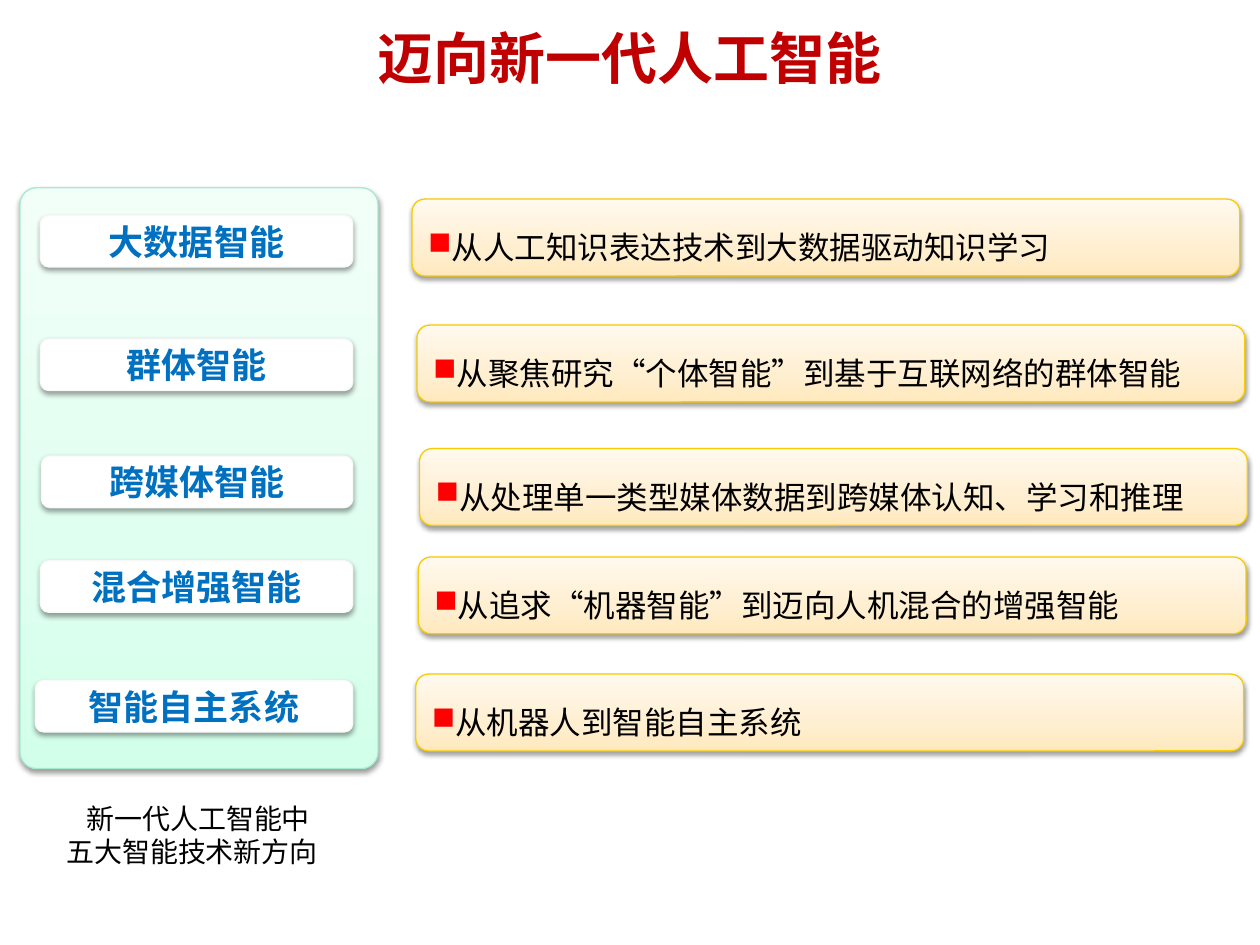
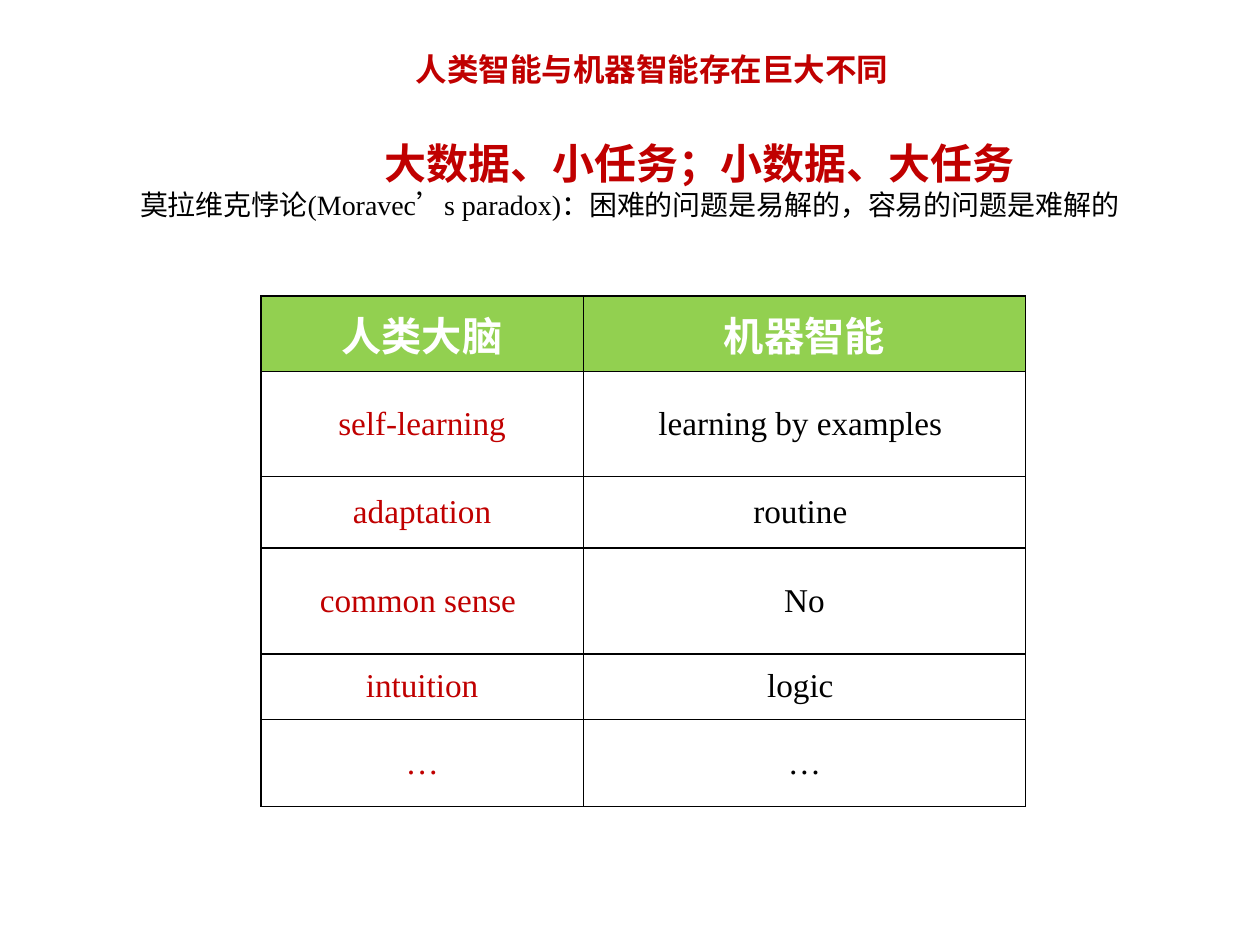
from copy import deepcopy

from lxml.etree import SubElement
from pptx import Presentation
from pptx.dml.color import RGBColor
from pptx.enum.shapes import MSO_SHAPE as SHAPE
from pptx.enum.text import MSO_ANCHOR as ANCHOR, PP_ALIGN as ALIGN
from pptx.oxml.ns import qn
from pptx.util import Inches, Pt

# Shared style
RED, BLUE, BLACK, WHITE, GREEN = "C00000", "0070C0", "000000", "FFFFFF", "92D050"
SANS, SERIF = "Noto Sans CJK SC", "Times New Roman"
MINT = [(0, "D2FFEA"), (0.35, "DFFFF0"), (1, "F2FFF9")]
CREAM = [(0, "FFE9BD"), (0.35, "FFEFD1"), (1, "FFF9EE")]

# Slide 1: label, its left, top and width; statement, its left and top
TITLE_1 = "迈向新一代人工智能"
DIRECTIONS = [
    ("大数据智能", 0.32, 1.71, 2.48, "从人工知识表达技术到大数据驱动知识学习", 3.27, 1.58),
    ("群体智能", 0.32, 2.69, 2.48, "从聚焦研究“个体智能”到基于互联网络的群体智能", 3.31, 2.58),
    ("跨媒体智能", 0.33, 3.62, 2.47, "从处理单一类型媒体数据到跨媒体认知、学习和推理", 3.33, 3.56),
    ("混合增强智能", 0.32, 4.45, 2.48, "从追求“机器智能”到迈向人机混合的增强智能", 3.32, 4.42),
    ("智能自主系统", 0.28, 5.4, 2.52, "从机器人到智能自主系统", 3.3, 5.35),
]
LABEL_H, STATEMENT_W, STATEMENT_H = 0.41, 6.57, 0.61
CAPTION = ["新一代人工智能中", "五大智能技术新方向"]

# Slide 2
TITLE_2 = "人类智能与机器智能存在巨大不同"
SLOGAN = "大数据、小任务；小数据、大任务"
PARADOX = "莫拉维克悖论(Moravec’s paradox)：困难的问题是易解的，容易的问题是难解的"
COMPARISON = [
    ("人类大脑", "机器智能"),
    ("self-learning", "learning by examples "),
    ("adaptation", "routine "),
    ("common sense ", "No"),
    ("intuition", "logic "),
    ("…", "…"),
]
COL_WIDTHS = [2.56, 3.51]
ROW_HEIGHTS = [0.6, 0.83, 0.57, 0.84, 0.52, 0.69]


def rgb(color):
    return RGBColor.from_string(color)


def style(p, size, color, font=SERIF, bold=False, align=ALIGN.CENTER):
    p.alignment = align
    for r in p.runs:
        r.font.size, r.font.bold, r.font.name = Pt(size), bold, font
        r.font.color.rgb = rgb(color)
        SubElement(r.font._element, qn("a:ea"), typeface=SANS)


def add_text(s, box, lines, anchor=ANCHOR.TOP):
    tf = s.shapes.add_textbox(*map(Inches, box)).text_frame
    tf.word_wrap = True
    tf.vertical_anchor = anchor
    tf.text = "\n".join(lines)
    return tf


def add_card(s, box, line, stops=None, text="", radius=None):
    """Rounded, softly shadowed box with a plain white or a gradient fill."""
    sp = s.shapes.add_shape(SHAPE.ROUNDED_RECTANGLE, *map(Inches, box))
    if radius:
        sp.adjustments[0] = radius
    if stops:
        sp.fill.gradient()
        sp.fill.gradient_angle = 90
        gs_list = sp._element.spPr.find(".//" + qn("a:gsLst"))
        gs_list.append(deepcopy(gs_list[0]))
        for stop, (position, color) in zip(sp.fill.gradient_stops, stops):
            stop.position, stop.color.rgb = position, rgb(color)
    else:
        sp.fill.solid()
        sp.fill.fore_color.rgb = rgb(WHITE)
    sp.line.color.rgb = rgb(line)
    sp.line.width = Pt(0.75)

    sp.shadow.inherit = False
    effects = sp._element.spPr.find(qn("a:effectLst"))
    shadow = SubElement(effects, qn("a:outerShdw"), blurRad=str(Pt(3.1)),
                        dist=str(Pt(1.6)), dir="5400000", rotWithShape="0")
    color = SubElement(shadow, qn("a:srgbClr"), val=BLACK)
    SubElement(color, qn("a:alpha"), val="38000")

    tf = sp.text_frame
    tf.word_wrap = True
    tf.vertical_anchor = ANCHOR.MIDDLE
    tf.margin_top = tf.margin_bottom = 0
    tf.text = text
    return tf.paragraphs[0]


def add_bullet(p, color):
    pPr = p._p.get_or_add_pPr()
    pPr.set("marL", "0")
    pPr.set("indent", str(-Inches(0.48)))
    SubElement(SubElement(pPr, qn("a:buClr")), qn("a:srgbClr"), val=color)
    SubElement(pPr, qn("a:buChar"), char="■")


def add_borders(cell):
    tcPr = cell._tc.get_or_add_tcPr()
    for i, side in enumerate(("lnL", "lnR", "lnT", "lnB")):
        ln = SubElement(tcPr, qn("a:" + side), w=str(Pt(1)))
        SubElement(SubElement(ln, qn("a:solidFill")), qn("a:srgbClr"), val=BLACK)
        tcPr.insert(i, ln)


def build_directions(prs):
    s = prs.slides.add_slide(prs.slide_layouts[6])
    tf = add_text(s, (0.05, -0.04, 9.89, 0.99), [TITLE_1], ANCHOR.MIDDLE)
    style(tf.paragraphs[0], 32, RED, bold=True)

    # Green panel with its caption
    add_card(s, (0.16, 1.49, 2.84, 4.61), "A5EBCD", MINT, radius=0.046)
    tf = add_text(s, (0.24, 6.31, 2.67, 0.64), CAPTION)
    for p in tf.paragraphs:
        style(p, 16, BLACK, SANS)
    tf.paragraphs[1]._p.get_or_add_pPr().set("marR", str(Inches(0.1)))

    # One label and one statement per direction
    for label, x, y, w, statement, sx, sy in DIRECTIONS:
        p = add_card(s, (x, y, w, LABEL_H), "F9F9F9", text=label)
        style(p, 20, BLUE, bold=True)
        p = add_card(s, (sx, sy, STATEMENT_W, STATEMENT_H), "FACB00", CREAM, statement)
        style(p, 18, BLACK, SANS, align=ALIGN.LEFT)
        p.line_spacing = 1.5
        add_bullet(p, "FF0000")


def build_comparison(prs):
    s = prs.slides.add_slide(prs.slide_layouts[6])
    tf = add_text(s, (0.6, 0.15, 9.15, 0.72), [TITLE_2], ANCHOR.MIDDLE)
    tf.margin_top = Inches(0.16)
    tf.paragraphs[0].line_spacing = 0.9
    style(tf.paragraphs[0], 18, RED, bold=True)

    # Slogan, set right of centre, and the paradox
    tf = add_text(s, (0, 1.04, 10, 0.91), [SLOGAN, PARADOX])
    slogan, paradox = tf.paragraphs
    style(slogan, 24, RED, SANS, bold=True)
    slogan._p.get_or_add_pPr().set("marL", str(Inches(1.1)))
    style(paradox, 16, BLACK)

    # Comparison table
    table = s.shapes.add_table(
        len(COMPARISON), len(COL_WIDTHS), Inches(2.07), Inches(2.35),
        Inches(sum(COL_WIDTHS)), Inches(sum(ROW_HEIGHTS))).table
    for column, width in zip(table.columns, COL_WIDTHS):
        column.width = Inches(width)
    for i, (row, height) in enumerate(zip(table.rows, ROW_HEIGHTS)):
        row.height = Inches(height)
        for cell, text, color in zip(row.cells, COMPARISON[i], (RED, BLACK)):
            header = i == 0
            cell.text = text
            cell.vertical_anchor = ANCHOR.MIDDLE
            cell.fill.solid()
            cell.fill.fore_color.rgb = rgb(GREEN if header else WHITE)
            add_borders(cell)
            p = cell.text_frame.paragraphs[0]
            if header:
                style(p, 23, WHITE, bold=True)
            else:
                style(p, 19, color)
                p.space_before = Pt(4)


def main():
    prs = Presentation()
    prs.slide_width, prs.slide_height = Inches(10), Inches(7.5)
    build_directions(prs)
    build_comparison(prs)
    prs.save("out.pptx")


if __name__ == "__main__":
    main()
